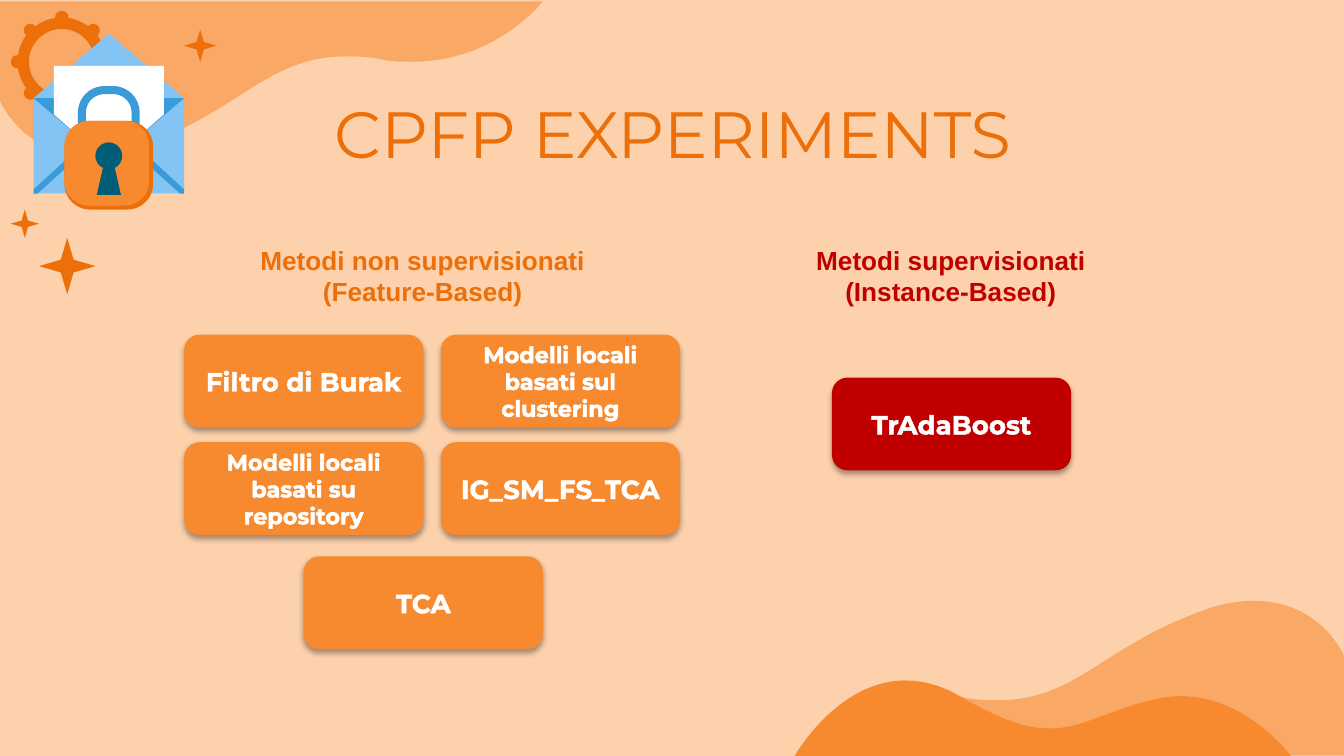
import math

from lxml import etree
from pptx import Presentation
from pptx import util as u
from pptx.dml.color import RGBColor
from pptx.enum import shapes, text
from pptx.oxml import ns

COLORS = {
    "background": "FCD1AC", "wave": "F9A866", "orange": "F78A2F",
    "dark_orange": "EC6F09", "red": "C00000", "white": "FFFFFF",
    "light_blue": "84C4F4", "blue": "399BD8", "teal": "005D77",
    "black": "000000",
}
PRESET = shapes.MSO_SHAPE
WAVE_START = (0, 0)
WAVE_CURVES = [
    [(0, 0), (0, 0.74), (0, 0.74)],
    [(0, 0.74), (0.17, 1.15), (0.67, 1.15)],
    [(0.78, 1.15), (0.92, 1.13), (1.07, 1.07)],
    [(1.79, 0.81), (2, 0.41), (2.57, 0.41)],
    [(2.65, 0.41), (2.73, 0.41), (2.83, 0.43)],
    [(2.91, 0.45), (2.99, 0.45), (3.07, 0.45)],
    [(3.69, 0.45), (4.04, 0), (4.04, 0)],
]
HILL_START = (3.7, 0.49)
HILL_CURVES = [
    [(3.7, 0.49), (3.29, -0.07), (2.7, 0.06)],
    [(2.1, 0.19), (2, 0.49), (1.25, 0.05)],
    [(0.5, -0.4), (0, 0.49), (0, 0.49)],
]


def color(name):
    return RGBColor.from_string(COLORS[name])


def paint(shape, fill):
    shape.shadow.inherit = False
    shape.fill.solid()
    shape.fill.fore_color.rgb = color(fill)
    shape.line.fill.background()
    return shape


def add_preset(slide, kind, left, top, width, height, fill, adjustment=None):
    shape = slide.shapes.add_shape(
        kind, u.Inches(left), u.Inches(top), u.Inches(width), u.Inches(height))
    if adjustment is not None:
        shape.adjustments[0] = adjustment
    return paint(shape, fill)


def add_polygon(slide, left, top, points, fill):
    corners = [(u.Inches(left + x), u.Inches(top + y)) for x, y in points]
    builder = slide.shapes.build_freeform(*corners[0])
    builder.add_line_segments(corners[1:], close=True)
    return paint(builder.convert_to_shape(), fill)


def trace(start, curves, steps=24):
    points = [start]
    for first, second, end in curves:
        origin = points[-1]
        for step in range(1, steps + 1):
            t = step / steps
            weights = ((1 - t) ** 3, 3 * t * (1 - t) ** 2, 3 * t * t * (1 - t), t ** 3)
            corners = (origin, first, second, end)
            points.append(tuple(
                sum(weight * corner[axis] for weight, corner in zip(weights, corners))
                for axis in (0, 1)))
    return points


def add_waves(slide):
    wave = trace(WAVE_START, WAVE_CURVES)
    add_polygon(slide, 5.96, 4.47, wave, "wave").rotation = 180
    add_polygon(slide, 0, 0.01, wave, "wave")
    add_polygon(slide, 5.91, 5.14, trace(HILL_START, HILL_CURVES), "orange")


def add_title(slide, left, top, width, height):
    title = slide.shapes.title
    title.left, title.top = u.Inches(left), u.Inches(top)
    title.width, title.height = u.Inches(width), u.Inches(height)
    frame = title.text_frame
    frame.auto_size = text.MSO_AUTO_SIZE.NONE
    frame.vertical_anchor = text.MSO_ANCHOR.TOP
    frame.margin_left = frame.margin_right = u.Inches(0.1)
    frame.margin_top = frame.margin_bottom = u.Inches(0.1)
    add_run(frame.paragraphs[0], "CPFP EXPERIMENTS", 35, "Montserrat", "dark_orange", False)


def add_run(paragraph, words, size, font, fill, bold=True):
    paragraph.alignment = text.PP_ALIGN.CENTER
    run = paragraph.add_run()
    run.text = words
    run.font.size = u.Pt(size)
    run.font.name = font
    run.font.bold = bold
    run.font.color.rgb = color(fill)
    return run


def add_gear(slide, left, top, size):
    knob = 0.1
    radius = (size - knob) / 2
    add_preset(slide, PRESET.DONUT, left + 0.05, top + 0.05,
               size - 0.1, size - 0.1, "dark_orange", 0.13)
    for index in range(8):
        angle = index * math.pi / 4
        add_preset(slide, PRESET.OVAL, left + radius * (1 + math.cos(angle)),
                   top + radius * (1 + math.sin(angle)), knob, knob, "dark_orange")


def add_envelope(slide, left, top, width):
    flap, body = 0.48, 0.71
    add_preset(slide, PRESET.ISOSCELES_TRIANGLE, left, top, width, flap, "light_blue")
    add_preset(slide, PRESET.RECTANGLE, left, top + flap, width, body, "light_blue")
    add_polygon(slide, left, top + flap, [(0, 0), (width / 2, flap), (width, 0)], "blue")
    add_polygon(slide, left, top, [(0.15, 0.24), (0.15, 0.6), (width / 2, 0.96),
                                   (0.97, 0.6), (0.97, 0.24)], "white")
    fold = [(0.5, 0.7), (0.54, 0.73), (0.03, 1.19), (0, 1.19), (0, 1.16)]
    add_polygon(slide, left, top, fold, "blue")
    add_polygon(slide, left, top, [(width - x, y) for x, y in fold], "blue")


def add_padlock(slide, left, top):
    shackle = add_preset(slide, PRESET.ROUNDED_RECTANGLE, left + 0.13, top + 0.03,
                         0.4, 0.39, "blue", 0.43)
    shackle.fill.background()
    shackle.line.color.rgb = color("blue")
    shackle.line.width = u.Inches(0.06)
    for size, fill in ((0.66, "dark_orange"), (0.63, "orange")):
        add_preset(slide, PRESET.ROUNDED_RECTANGLE, left, top + 0.26, size, size, fill, 0.29)
    add_preset(slide, PRESET.OVAL, left + 0.23, top + 0.42, 0.2, 0.2, "teal")
    add_preset(slide, PRESET.TRAPEZOID, left + 0.24, top + 0.59, 0.18, 0.22, "teal", 0.28)


def add_secure_mail(slide, left, top):
    add_gear(slide, left, top, 0.76)
    add_envelope(slide, left + 0.17, top + 0.17, 1.12)
    add_padlock(slide, left + 0.4, top + 0.56)
    for x, y, size in ((0.21, 1.69, 0.42), (1.29, 0.14, 0.24), (0, 1.48, 0.21)):
        add_preset(slide, PRESET.STAR_4_POINT, left + x, top + y, size, size,
                   "dark_orange", 0.16)


def add_card(slide, left, top, words, size, fill):
    card = add_preset(slide, PRESET.ROUNDED_RECTANGLE, left, top, 1.78, 0.69, fill)
    effects = card._element.spPr.find(ns.qn("a:effectLst"))
    shadow = etree.SubElement(effects, ns.qn("a:outerShdw"), blurRad=str(u.Pt(3.1)),
                              dist=str(u.Pt(1.8)), dir="5400000", rotWithShape="0")
    shade = etree.SubElement(shadow, ns.qn("a:srgbClr"), val=COLORS["black"])
    etree.SubElement(shade, ns.qn("a:alpha"), val="35000")
    frame = card.text_frame
    frame.word_wrap = True
    frame.vertical_anchor = text.MSO_ANCHOR.MIDDLE
    run = add_run(frame.paragraphs[0], words, size, "Montserrat", "white")
    outline = etree.Element(ns.qn("a:ln"), w=str(u.Pt(0.8)))
    solid = etree.SubElement(outline, ns.qn("a:solidFill"))
    etree.SubElement(solid, ns.qn("a:srgbClr"), val=COLORS["white"])
    run.font._element.insert(0, outline)


def add_methods(slide, left, top, heading, heading_color, cards, card_color):
    box = slide.shapes.add_textbox(
        u.Inches(left), u.Inches(top), u.Inches(2.95), u.Inches(0.57))
    frame = box.text_frame
    frame.word_wrap = True
    frame.auto_size = text.MSO_AUTO_SIZE.SHAPE_TO_FIT_TEXT
    for index, line in enumerate(heading):
        paragraph = frame.add_paragraph() if index else frame.paragraphs[0]
        add_run(paragraph, line, 14, "Arial", heading_color)
    for x, y, words, size in cards:
        add_card(slide, left + x, top + y, words, size, card_color)


def main():
    presentation = Presentation()
    presentation.slide_width = u.Inches(10)
    presentation.slide_height = u.Inches(10) * 9 // 16
    slide = presentation.slides.add_slide(presentation.slide_layouts[5])
    slide.background.fill.solid()
    slide.background.fill.fore_color.rgb = color("background")
    add_waves(slide)
    add_title(slide, 0.79, 0.59, 8.43, 0.74)
    add_secure_mail(slide, 0.08, 0.08)
    add_methods(slide, 1.67, 1.77, ("Metodi non supervisionati", "(Feature-Based)"),
                "dark_orange", [
                    (-0.3, 0.72, "Filtro di Burak", 14),
                    (1.61, 0.72, "Modelli locali basati sul clustering", 12),
                    (-0.3, 1.52, "Modelli locali basati su repository", 12),
                    (1.61, 1.52, "IG_SM_FS_TCA", 14),
                    (0.59, 2.37, "TCA", 14),
                ], "orange")
    add_methods(slide, 5.6, 1.77, ("Metodi supervisionati", "(Instance-Based)"),
                "red", [(0.59, 1.04, "TrAdaBoost", 14)], "red")
    presentation.save("out.pptx")


if __name__ == "__main__":
    main()
